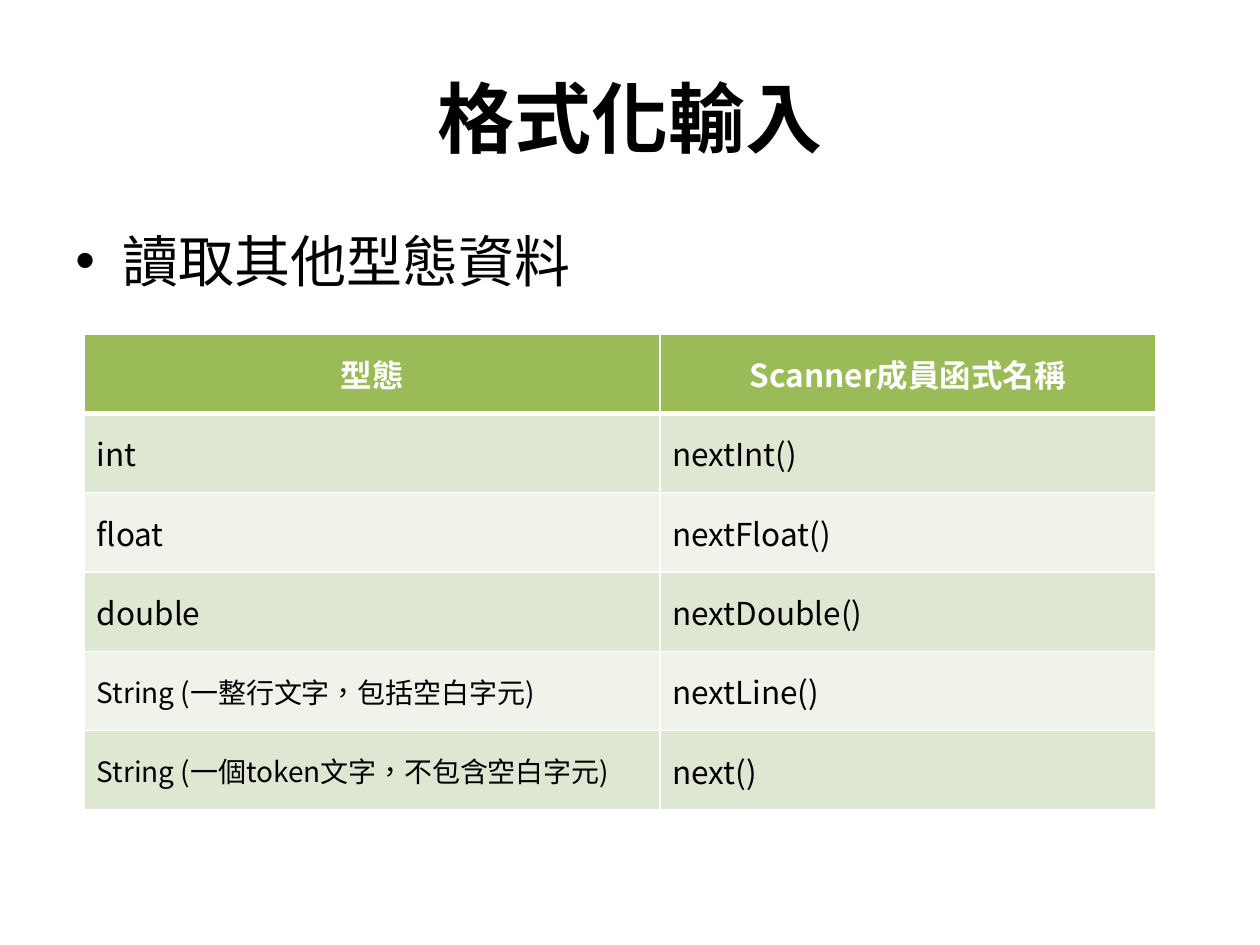
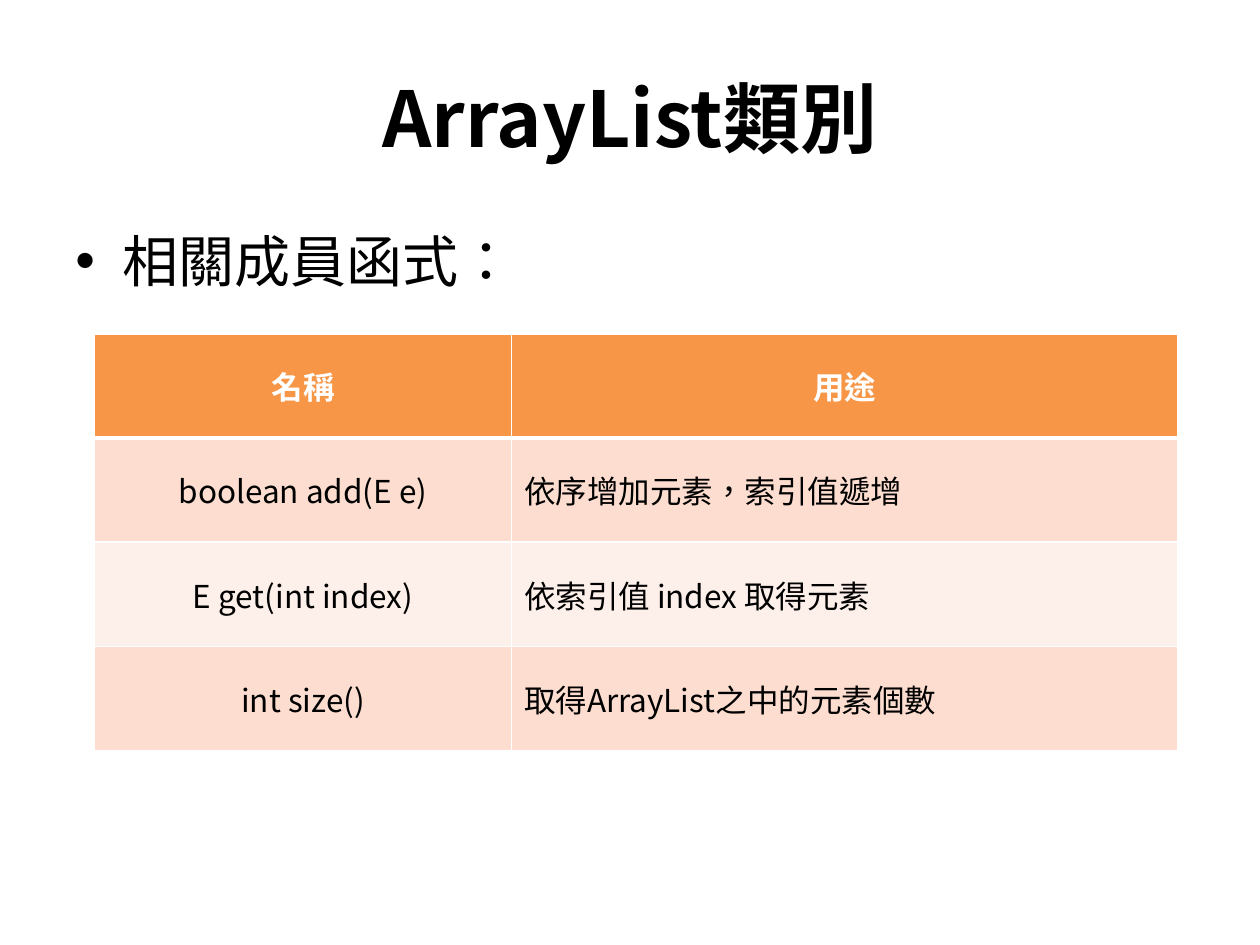
"""Two slides on Java input and lists: a title, a bullet and a table each."""
import pptx
import pptx.dml.color
import pptx.enum.text
import pptx.oxml
import pptx.oxml.ns
import pptx.util
from lxml import etree

Cm = pptx.util.Cm
Pt = pptx.util.Pt
RGBColor = pptx.dml.color.RGBColor
ALIGN = pptx.enum.text.PP_ALIGN
ANCHOR = pptx.enum.text.MSO_ANCHOR
qn = pptx.oxml.ns.qn

BLACK = RGBColor(0x00, 0x00, 0x00)
WHITE = RGBColor(0xFF, 0xFF, 0xFF)
GREEN = RGBColor(0x9B, 0xBB, 0x59)
GREEN_BAND = RGBColor(0xDE, 0xE7, 0xD1)
GREEN_PALE = RGBColor(0xEF, 0xF3, 0xEA)
ORANGE = RGBColor(0xF7, 0x96, 0x46)
ORANGE_BAND = RGBColor(0xFC, 0xDD, 0xCF)
ORANGE_PALE = RGBColor(0xFD, 0xEF, 0xE9)

FONT = "Noto Sans CJK SC"
LANGUAGE = "zh-TW"
MARGIN, CONTENT_WIDTH = Cm(1.27), Cm(22.86)
TABLE_TOP = Cm(6.73)
THIN, THICK = Pt(1), Pt(3)

TITLE = {"size": Pt(44), "bold": True}
BULLET = {"size": Pt(32), "bold": False}
HEADER = {"size": Pt(18), "bold": True}
BODY = {"size": Pt(18), "bold": False}
NOTE = {"size": Pt(16), "bold": False}


class Builder:
    """Holds the deck, its style and the page being filled."""

    def __init__(self):
        """Start an empty 4:3 deck."""
        self.deck = pptx.Presentation()
        self.deck.slide_width, self.deck.slide_height = Cm(25.4), Cm(19.05)
        self.page = None

    def add_page(self, title, bullet):
        """Open a blank page with its title and bullet line."""
        self.page = self.deck.slides.add_slide(self.deck.slide_layouts[6])
        heading = self.text_box(Cm(0.76), Cm(3.18), ANCHOR.MIDDLE)
        self.add_text(heading, title, TITLE, BLACK, ALIGN.CENTER)
        body = self.text_box(Cm(4.45), Cm(12.57), ANCHOR.TOP)
        self.bullet(self.add_text(body, bullet, BULLET, BLACK, ALIGN.LEFT))

    def text_box(self, top, height, anchor):
        """Add a full-width wrapping box and return its text frame."""
        box = self.page.shapes.add_textbox(MARGIN, top, CONTENT_WIDTH, height)
        box.text_frame.word_wrap = True
        box.text_frame.vertical_anchor = anchor
        return box.text_frame

    def add_text(self, frame, text, style, color, align):
        """Put one styled paragraph into a text frame."""
        para = frame.paragraphs[0]
        para.alignment = align
        span = para.add_run()
        span.text = text
        for name, value in {"name": FONT, **style}.items():
            setattr(span.font, name, value)
        span.font.color.rgb = color
        properties = span._r.get_or_add_rPr()
        properties.set("lang", LANGUAGE)
        etree.SubElement(properties, qn("a:ea")).set("typeface", FONT)
        return para

    def bullet(self, para):
        """Give a paragraph a round bullet with a hanging indent."""
        properties = para._p.get_or_add_pPr()
        properties.set("marL", str(Cm(0.95)))
        properties.set("indent", str(-Cm(0.95)))
        etree.SubElement(properties, qn("a:buFont")).set("typeface", "Arial")
        etree.SubElement(properties, qn("a:buChar")).set("char", "•")

    def borders(self, cell, widths):
        """Draw white left, right, top and bottom cell borders."""
        properties = cell._tc.get_or_add_tcPr()
        for side, width in zip("LRTB", widths):
            line = etree.SubElement(properties, qn(f"a:ln{side}"), w=str(width))
            fill = etree.SubElement(line, qn("a:solidFill"))
            etree.SubElement(fill, qn("a:srgbClr")).set("val", str(WHITE))

    def table(self, left, widths, row_height, rows, fills, first_align, first_styles):
        """Add a banded table; fills are the header, odd and even row colours."""
        frame = self.page.shapes.add_table(
            len(rows), len(widths), left, TABLE_TOP, sum(widths), row_height * len(rows))
        table = frame.table
        table.horz_banding = False
        for column, width in zip(table.columns, widths):
            column.width = width
        header_fill, *bands = fills
        for r, texts in enumerate(rows):
            table.rows[r].height = row_height
            top = THICK if r == 1 else THIN
            bottom = THICK if r == 0 else THIN
            for c, text in enumerate(texts):
                cell = table.cell(r, c)
                cell.vertical_anchor = ANCHOR.MIDDLE
                self.borders(cell, (THIN, THIN, top, bottom))
                cell.fill.solid()
                if r == 0:
                    cell.fill.fore_color.rgb = header_fill
                    self.add_text(cell.text_frame, text, HEADER, WHITE, ALIGN.CENTER)
                    continue
                cell.fill.fore_color.rgb = bands[(r - 1) % 2]
                style = first_styles.get(r, BODY) if c == 0 else BODY
                align = first_align if c == 0 else ALIGN.LEFT
                self.add_text(cell.text_frame, text, style, BLACK, align)


def formatted_input(builder):
    """Build the page on reading other data types."""
    builder.add_page("格式化輸入", "讀取其他型態資料")
    rows = [
        ("型態", "Scanner成員函式名稱"),
        ("int", "nextInt()"),
        ("float", "nextFloat()"),
        ("double", "nextDouble()"),
        ("String (一整行文字，包括空白字元)", "nextLine()"),
        ("String (一個token文字，不包含空白字元)", "next()"),
    ]
    builder.table(Cm(1.7), (Cm(11.6), Cm(10)), Cm(1.6), rows,
                  (GREEN, GREEN_BAND, GREEN_PALE), ALIGN.LEFT, {4: NOTE, 5: NOTE})


def array_list(builder):
    """Build the page on the ArrayList member functions."""
    builder.add_page("ArrayList類別", "相關成員函式：")
    rows = [
        ("名稱", "用途"),
        ("boolean add(E e)", "依序增加元素，索引值遞增"),
        ("E get(int index)", "依索引值 index 取得元素"),
        ("int size()", "取得ArrayList之中的元素個數"),
    ]
    builder.table(Cm(1.91), (Cm(8.4), Cm(13.43)), Cm(2.1), rows,
                  (ORANGE, ORANGE_BAND, ORANGE_PALE), ALIGN.CENTER, {})


def main():
    """Build both pages and save the deck."""
    builder = Builder()
    formatted_input(builder)
    array_list(builder)
    builder.deck.save("out.pptx")


main()
